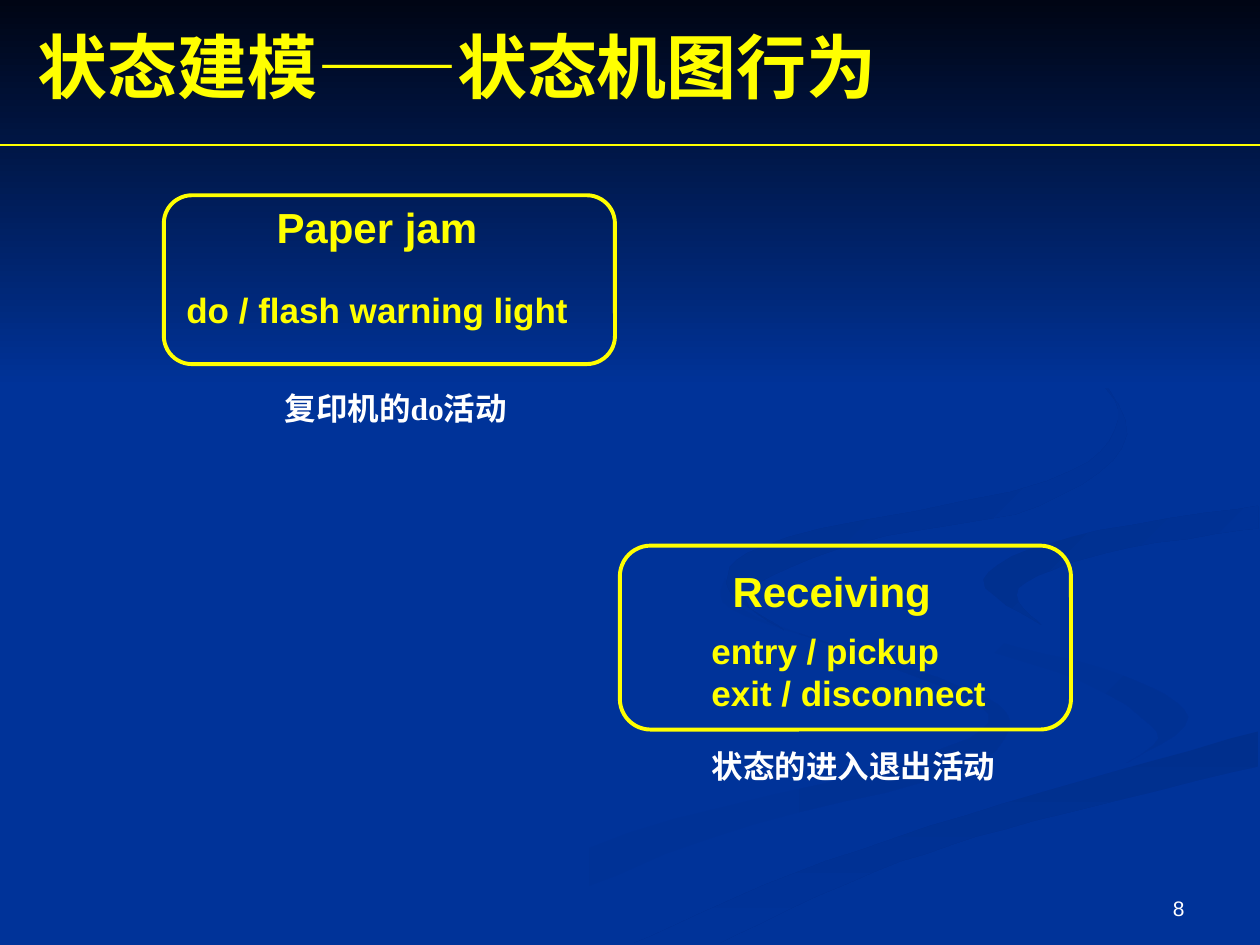
"""Build the state machine behaviour slide with its two example states."""
from dataclasses import dataclass

import lxml.etree
import pptx
import pptx.dml.color
import pptx.enum.shapes
import pptx.enum.text
import pptx.oxml.ns
import pptx.slide
import pptx.util

Pt = pptx.util.Pt
Align = pptx.enum.text.PP_ALIGN
Anchor = pptx.enum.text.MSO_ANCHOR
Shape = pptx.enum.shapes.MSO_SHAPE
Point = tuple[float, float]


@dataclass(frozen=True)
class Theme:
    ground: str = "003399"
    night: str = "000514"
    accent: str = "FFFF00"
    plain: str = "FFFFFF"
    faint: str = "003193"
    dark: str = "002F8D"
    sans: str = "Arial"
    serif: str = "Times New Roman"
    title: float = 40
    state: float = 24
    activity: float = 20
    caption: float = 18
    number: float = 12
    rule: float = 0.75
    border: float = 2.25


THEME = Theme()


@dataclass(frozen=True)
class Box:
    left: float
    top: float
    width: float
    height: float

    def lengths(self) -> list[int]:
        return [Pt(side) for side in (self.left, self.top, self.width, self.height)]


@dataclass(frozen=True)
class Words:
    text: str
    font: str = THEME.sans


@dataclass(frozen=True)
class Label:
    box: Box
    lines: tuple[tuple[Words, ...], ...]
    size: float
    color: str = THEME.accent
    bold: bool = True
    align: Align = Align.LEFT
    anchor: Anchor = Anchor.TOP
    indent: float = 0


@dataclass(frozen=True)
class State:
    frame: Box
    labels: tuple[Label, ...]


@dataclass(frozen=True)
class Ribbon:
    start: str
    end: str
    angle: float
    outer: tuple[Point, ...]
    inner: tuple[Point, ...]


RIBBONS = (
    Ribbon(THEME.ground, THEME.faint, 0,
           ((414, 330), (433, 353), (515, 380), (566, 400), (576, 418), (544, 442),
            (406, 479), (260, 539)),
           ((414, 330), (418, 348), (489, 374), (565, 408), (514, 436), (359, 476),
            (216, 539))),
    Ribbon(THEME.ground, THEME.faint, 45,
           ((521, 334), (557, 362), (639, 385), (679, 410), (644, 436)),
           ((521, 334), (544, 364), (615, 388), (661, 418), (644, 436))),
    Ribbon(THEME.dark, THEME.ground, 90,
           ((362, 539), (454, 499), (574, 459), (719, 418)),
           ((411, 539), (500, 498), (591, 469), (719, 438))),
    Ribbon(THEME.dark, THEME.ground, 45,
           ((719, 289), (612, 307), (562, 331), (595, 357)),
           ((719, 302), (632, 316), (582, 336), (595, 357))),
    Ribbon(THEME.dark, THEME.ground, 45,
           ((549, 168), (607, 198), (644, 248), (594, 289), (492, 310), (427, 338),
            (448, 360)),
           ((549, 168), (615, 205), (639, 240), (598, 275), (450, 307), (415, 333),
            (448, 360))),
)

HEADINGS = (
    Label(Box(516, 492, 168, 37.4), ((Words("8"),),), THEME.number, THEME.plain,
          bold=False, align=Align.RIGHT, anchor=Anchor.BOTTOM),
    Label(Box(14.4, 10, 648, 55.4),
          ((Words("状态建模", THEME.serif), Words("——"), Words("状态机图行为", THEME.serif)),),
          THEME.title, anchor=Anchor.MIDDLE),
)

STATES = (
    State(Box(93.6, 111.6, 257.8, 96.5), (
        Label(Box(117.4, 111.6, 210.2, 36), ((Words("Paper jam"),),), THEME.state, indent=33.4),
        Label(Box(99.4, 161.3, 257.8, 31), ((Words("do / flash warning light"),),),
              THEME.activity),
        Label(Box(155.5, 218.9, 147.6, 28.8), ((Words("复印机的do活动", THEME.serif),),),
              THEME.caption, THEME.plain))),
    State(Box(354.2, 311.8, 257.8, 105.1), (
        Label(Box(378, 319.7, 210.2, 36), ((Words("Receiving"),),), THEME.state, indent=33.4),
        Label(Box(371.5, 356.4, 204.5, 55.4),
              ((Words("entry / pickup"),), (Words("exit / disconnect"),)),
              THEME.activity, indent=27.8),
        Label(Box(399.6, 423.4, 187.2, 28.8), ((Words("状态的进入退出活动", THEME.serif),),),
              THEME.caption, THEME.plain))),
)


def rgb(code: str) -> pptx.dml.color.RGBColor:
    return pptx.dml.color.RGBColor.from_string(code)


def spline(a: float, b: float, c: float, d: float, t: float) -> float:
    bend = 2 * a - 5 * b + 4 * c - d
    return b + t / 2 * (c - a + t * (bend + t * (3 * (b - c) + d - a)))


def smooth(edge: tuple[Point, ...], steps: int = 6) -> list[Point]:
    padded = (edge[0], *edge, edge[-1])
    curve = [
        tuple(spline(*axis, step / steps) for axis in zip(*padded[index:index + 4]))
        for index in range(len(edge) - 1) for step in range(steps)
    ]
    return [*curve, edge[-1]]


def shade(shape, start: str, end: str, angle: float) -> None:
    shape.shadow.inherit = False
    shape.line.fill.background()
    shape.fill.gradient()
    shape.fill.gradient_angle = 360 - angle
    for stop, code in zip(shape.fill.gradient_stops, (start, end)):
        stop.color.rgb = rgb(code)


def draw_ribbon(slide: pptx.slide.Slide, ribbon: Ribbon) -> None:
    first, *rest = smooth(ribbon.outer) + smooth(ribbon.inner)[::-1]
    builder = slide.shapes.build_freeform(*first, scale=Pt(1))
    builder.add_line_segments(rest, close=True)
    shade(builder.convert_to_shape(), ribbon.start, ribbon.end, ribbon.angle)


def draw_label(slide: pptx.slide.Slide, label: Label) -> None:
    frame = slide.shapes.add_textbox(*label.box.lengths()).text_frame
    frame.word_wrap = True
    frame.vertical_anchor = label.anchor
    frame.margin_left = Pt(7.2 + label.indent)
    for index, line in enumerate(label.lines):
        paragraph = frame.add_paragraph() if index else frame.paragraphs[0]
        paragraph.alignment = label.align
        for words in line:
            run = paragraph.add_run()
            run.text = words.text
            run.font.name = words.font
            run.font.size = Pt(label.size)
            run.font.bold = label.bold
            run.font.color.rgb = rgb(label.color)


def draw_state(slide: pptx.slide.Slide, state: State) -> None:
    border = slide.shapes.add_shape(Shape.ROUNDED_RECTANGLE, *state.frame.lengths())
    border.shadow.inherit = False
    border.fill.background()
    border.line.color.rgb = rgb(THEME.accent)
    border.line.width = Pt(THEME.border)
    for label in state.labels:
        draw_label(slide, label)


def draw_rule(slide: pptx.slide.Slide, width: float, top: float) -> None:
    rule = slide.shapes.add_connector(
        pptx.enum.shapes.MSO_CONNECTOR.STRAIGHT, Pt(0), Pt(top), Pt(width), Pt(top))
    rule.line.color.rgb = rgb(THEME.accent)
    rule.line.width = Pt(THEME.rule)
    lxml.etree.SubElement(rule._element.spPr, pptx.oxml.ns.qn("a:effectLst"))


def main() -> None:
    deck = pptx.Presentation()
    deck.slide_width, deck.slide_height = Pt(720), Pt(540)
    slide = deck.slides.add_slide(deck.slide_layouts[6])
    slide.background.fill.solid()
    slide.background.fill.fore_color.rgb = rgb(THEME.ground)
    for ribbon in RIBBONS:
        draw_ribbon(slide, ribbon)
    sky = slide.shapes.add_shape(Shape.RECTANGLE, *Box(0, 0, 720, 221.8).lengths())
    shade(sky, THEME.night, THEME.ground, 90)
    for heading in HEADINGS:
        draw_label(slide, heading)
    draw_rule(slide, 720, 82.8)
    for state in STATES:
        draw_state(slide, state)
    deck.save("out.pptx")


if __name__ == "__main__":
    main()
